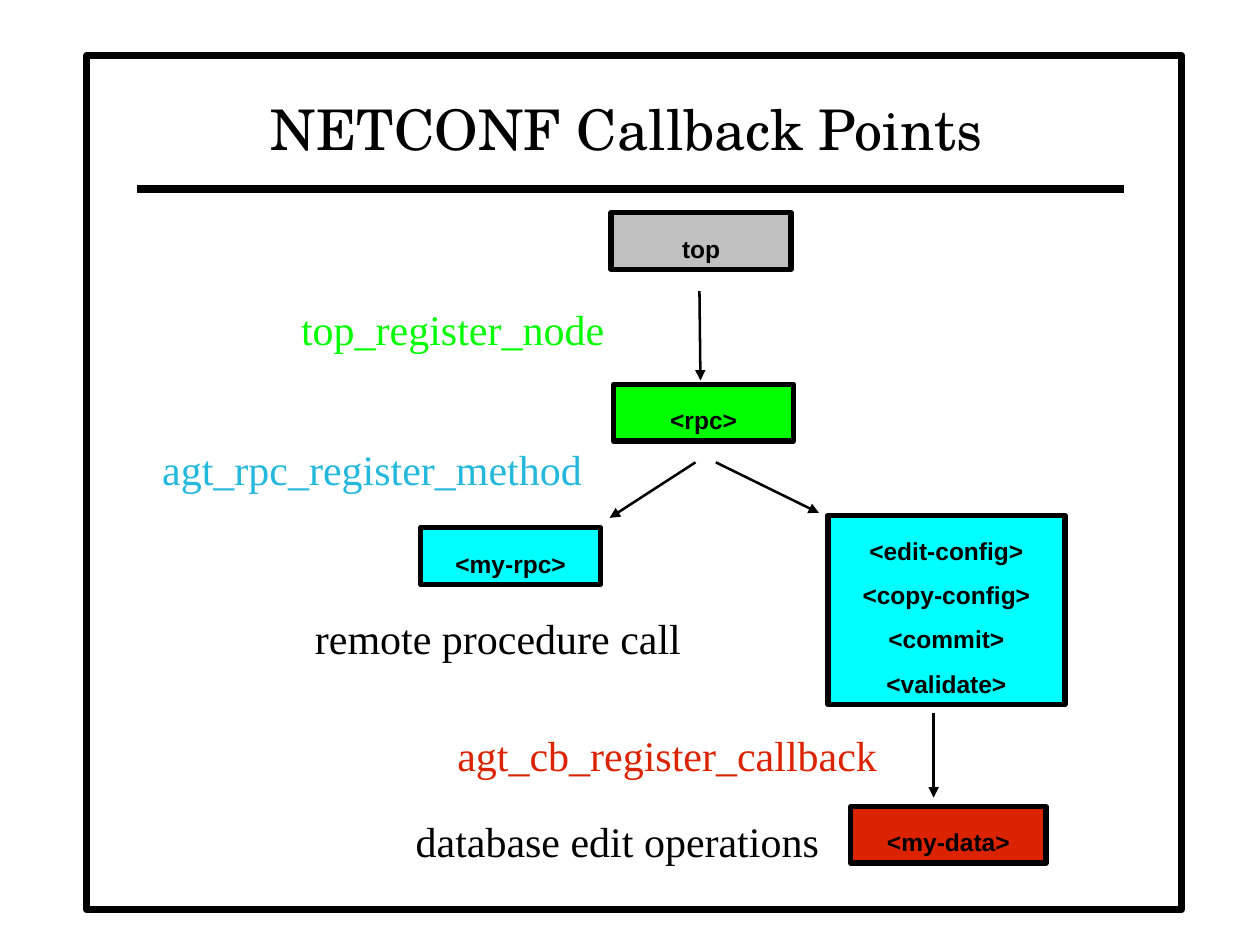
"""Build the NETCONF callback points slide."""
from lxml import etree
from pptx import Presentation
from pptx.dml.color import RGBColor
from pptx.enum.shapes import MSO_CONNECTOR, MSO_SHAPE
from pptx.enum.text import MSO_ANCHOR, MSO_AUTO_SIZE, PP_ALIGN
from pptx.oxml.ns import qn
from pptx.util import Cm, Pt

RECTANGLE = MSO_SHAPE.RECTANGLE
STRAIGHT = MSO_CONNECTOR.STRAIGHT
TOP, BOTTOM = MSO_ANCHOR.TOP, MSO_ANCHOR.BOTTOM
FIT_SHAPE, NO_FIT = MSO_AUTO_SIZE.SHAPE_TO_FIT_TEXT, MSO_AUTO_SIZE.NONE
CENTER = PP_ALIGN.CENTER

COLORS = {
    "black": "000000",
    "gray": "C0C0C0",
    "green": "00FF00",
    "cyan": "00FFFF",
    "blue": "23B8DC",
    "red": "DC2300",
}

TITLE = "NETCONF Callback Points"
TITLE_AREA = (2.74, 1.47, 19.79, 1.91)
FRAME_AREA = (1.75, 1.12, 22.07, 17.22)
TITLE_RULE = (2.77, 3.81, 22.66, 3.81)

NODES = [
    (["top"], "gray", (12.32, 4.29, 3.63, 1.14)),
    (["<rpc>"], "green", (12.37, 7.75, 3.63, 1.14)),
    (["<my-rpc>"], "cyan", (8.48, 10.64, 3.63, 1.14)),
    (["<edit-config>", "<copy-config>", "<commit>", "<validate>"], "cyan",
     (16.69, 10.39, 4.78, 3.81)),
    (["<my-data>"], "red", (17.15, 16.26, 3.94, 1.14)),
]
LABELS = [
    ("top_register_node", "green", (5.82, 5.99, 6.63, 1.27)),
    ("agt_rpc_register_method", "blue", (3.02, 8.81, 8.99, 1.27)),
    ("remote procedure call", "black", (6.1, 12.22, 7.9, 1.27)),
    ("agt_cb_register_callback", "red", (8.97, 14.58, 8.99, 1.27)),
    ("database edit operations", "black", (8.13, 16.31, 8.66, 1.27)),
]
ARROWS = [
    (14.1, 5.87, 14.12, 7.67),
    (14.02, 9.32, 12.29, 10.44),
    (14.43, 9.32, 16.51, 10.34),
    (18.82, 14.38, 18.82, 16.08),
]


def rgb(color):
    return RGBColor.from_string(COLORS[color])


def lengths(values):
    return [Cm(value) for value in values]


def style_runs(paragraph, font_name, size, color, bold=False):
    for run in paragraph.runs:
        run.font.name = font_name
        run.font.size = Pt(size)
        run.font.bold = bold
        run.font.color.rgb = rgb(color)


def add_rectangle(slide, area, line_width, fill=None):
    rectangle = slide.shapes.add_shape(RECTANGLE, *lengths(area))
    rectangle.shadow.inherit = False
    if fill:
        rectangle.fill.solid()
        rectangle.fill.fore_color.rgb = rgb(fill)
    else:
        rectangle.fill.background()
    rectangle.line.color.rgb = rgb("black")
    rectangle.line.width = Pt(line_width)
    return rectangle


def add_line(slide, ends, width, arrow=False):
    line = slide.shapes.add_connector(STRAIGHT, *lengths(ends))
    line.line.color.rgb = rgb("black")
    line.line.width = Pt(width)
    if arrow:
        outline = line.line._get_or_add_ln()
        etree.SubElement(outline, qn("a:tailEnd"), type="triangle")
    etree.SubElement(line._element.spPr, qn("a:effectLst"))


def add_title(slide):
    title = slide.shapes.title
    title.left, title.top, title.width, title.height = lengths(TITLE_AREA)
    frame = title.text_frame
    frame.text = TITLE
    frame.auto_size = NO_FIT
    frame.vertical_anchor = BOTTOM
    frame.paragraphs[0].alignment = CENTER
    style_runs(frame.paragraphs[0], "TeX Gyre Schola", 32, "black")


def add_node(slide, names, fill, area):
    frame = add_rectangle(slide, area, 3, fill).text_frame
    frame.vertical_anchor = TOP
    paragraph = frame.paragraphs[0]
    paragraph.text = "\v".join(names)
    paragraph.alignment = CENTER
    paragraph.line_spacing = 1.5
    style_runs(paragraph, "Arial", 14, "black", bold=True)


def add_label(slide, wording, color, area):
    frame = slide.shapes.add_textbox(*lengths(area)).text_frame
    frame.word_wrap = False
    frame.auto_size = FIT_SHAPE
    frame.text = wording
    style_runs(frame.paragraphs[0], "Times New Roman", 24, color)


def main():
    presentation = Presentation()
    presentation.slide_width, presentation.slide_height = Cm(25.4), Cm(19.05)
    slide = presentation.slides.add_slide(presentation.slide_layouts[5])
    add_rectangle(slide, FRAME_AREA, 4)
    add_line(slide, TITLE_RULE, 4.5)
    add_title(slide)
    for node in NODES:
        add_node(slide, *node)
    for label in LABELS:
        add_label(slide, *label)
    for ends in ARROWS:
        add_line(slide, ends, 1.45, arrow=True)
    presentation.save("out.pptx")


if __name__ == "__main__":
    main()
